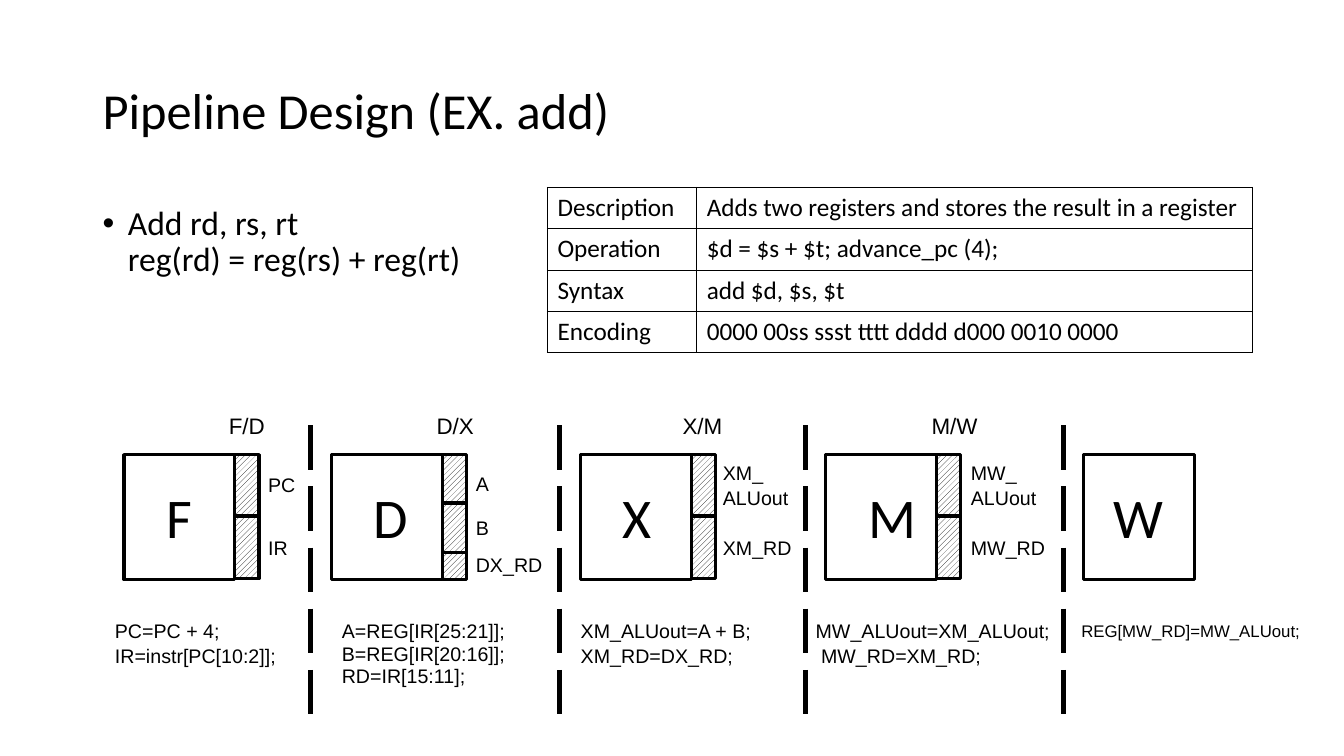
from lxml import etree
from pptx import Presentation
from pptx.dml.color import RGBColor
from pptx.enum import dml, shapes, text
from pptx.oxml.ns import qn
from pptx.util import Inches, Pt

BLACK = RGBColor(0, 0, 0)
WHITE = RGBColor(255, 255, 255)

TITLE = "Pipeline Design (EX. add)"
BULLET = ["Add rd, rs, rt", "reg(rd) = reg(rs) + reg(rt)"]
INSTRUCTION = [
    ("Description", "Adds two registers and stores the result in a register"),
    ("Operation", "$d = $s + $t; advance_pc (4);"),
    ("Syntax", "add $d, $s, $t"),
    ("Encoding", "0000 00ss ssst tttt dddd d000 0010 0000"),
]
COLUMN_WIDTHS = [1.48, 5.51]
ROW_HEIGHT = 0.41

# name, square left, letter (left, width)
STAGES = [
    ("F", 1.23, (1.55, 0.46)),
    ("D", 3.29, (3.61, 0.55)),
    ("X", 5.76, (6.08, 0.49)),
    ("M", 8.19, (8.52, 0.68)),
    ("W", 10.75, (10.95, 0.7)),
]
# tag, tag left, register heights, label left, labels as (top, width, lines)
LATCHES = [
    ("F/D", 2.26, [0.61, 0.62], 2.65,
     [(4.68, 0.34, ["PC"]), (5.31, 0.23, ["IR"])]),
    ("D/X", 4.32, [0.48, 0.49, 0.27], 4.71,
     [(4.67, 0.34, ["A"]), (5.11, 0.23, ["B"]), (5.48, 0.76, ["DX_RD"])]),
    ("X/M", 6.76, [0.61, 0.62], 7.16,
     [(4.56, 0.76, ["XM_", "ALUout"]), (5.31, 0.76, ["XM_RD"])]),
    ("M/W", 9.23, [0.61, 0.62], 9.62,
     [(4.56, 0.76, ["MW_", "ALUout"]), (5.31, 0.76, ["MW_RD"])]),
]
DIVIDERS = [3.08, 5.55, 7.99, 10.55]
# left, width, top inset, paragraphs as (text, space before, line spacing)
ACTIONS = [
    (1.13, 1.76, 0.03, [("PC=PC + 4;", 2.2, None), ("IR=instr[PC[10:2]];", 1.2, None)]),
    (3.38, 1.99, 0.03, [("A=REG[IR[25:21]];", 2.2, None),
                        ("B=REG[IR[20:16]];  RD=IR[15:11];", 0.7, Pt(15.7))]),
    (5.75, 1.83, 0.01, [("XM_ALUout=A + B;  XM_RD=DX_RD;", 1, 1.08)]),
    (8.08, 2.34, 0.01, [("MW_ALUout=XM_ALUout;  MW_RD=XM_RD;", 1, 1.08)]),
]
WRITE_BACK = "REG[MW_RD]=MW_ALUout;"

STAGE_TOP, STAGE_WIDTH, STAGE_HEIGHT = 4.51, 1.1, 1.24
REGISTER_WIDTH = 0.24
DIVIDER_TOP, DIVIDER_BOTTOM = 4.22, 7.08

prs = Presentation()
prs.slide_width, prs.slide_height = Inches(13.33), Inches(7.5)
s = prs.slides.add_slide(prs.slide_layouts[6])


def add_run(p, words, size, font):
    r = p.add_run()
    r.text = words
    r.font.size, r.font.name = Pt(size), font
    r.font.color.rgb = BLACK


def add_text(left, top, width, height, paragraphs, size, font="Calibri",
             inset=None, wrap=True):
    """Paragraphs are (text, space before in points, line spacing); inset is the top
    margin, with the other margins at zero."""
    tf = s.shapes.add_textbox(*map(Inches, (left, top, width, height))).text_frame
    tf.word_wrap = wrap
    if inset is not None:
        tf.margin_left = tf.margin_right = tf.margin_bottom = 0
        tf.margin_top = Inches(inset)
    for i, (words, before, spacing) in enumerate(paragraphs):
        p = tf.paragraphs[0] if i == 0 else tf.add_paragraph()
        p.space_before = Pt(before)
        if spacing:
            p.line_spacing = spacing
        if inset is not None:
            p._p.get_or_add_pPr().set("marL", str(Inches(0.01)))
        add_run(p, words, size, font)
    return tf


def add_box(left, top, width, height):
    sp = s.shapes.add_shape(shapes.MSO_SHAPE.RECTANGLE,
                            *map(Inches, (left, top, width, height)))
    sp.shadow.inherit = False
    sp.fill.background()
    sp.line.color.rgb, sp.line.width = BLACK, Pt(2.25)
    return sp


def set_borders(cell):
    tcPr = cell._tc.get_or_add_tcPr()
    for i, side in enumerate(("lnL", "lnR", "lnT", "lnB")):
        ln = etree.Element(qn("a:" + side), w=str(Pt(1)))
        fill = etree.SubElement(ln, qn("a:solidFill"))
        etree.SubElement(fill, qn("a:srgbClr"), val=str(BLACK))
        tcPr.insert(i, ln)


# Heading and bullet
tf = add_text(0.92, 0.4, 11.5, 1.45, [(TITLE, 0, 0.9)], 36)
tf.vertical_anchor = text.MSO_ANCHOR.MIDDLE

tf = add_text(0.92, 2, 11.5, 4.76, [(BULLET[0], 10, 0.9)], 24)
p = tf.paragraphs[0]
p.add_line_break()
add_run(p, BULLET[1], 24, "Calibri")
pPr = p._p.get_or_add_pPr()
pPr.set("marL", str(Inches(0.25)))
pPr.set("indent", str(-Inches(0.25)))
etree.SubElement(pPr, qn("a:buFont"), typeface="Arial")
etree.SubElement(pPr, qn("a:buChar"), char="•")

# Instruction table
table = s.shapes.add_table(
    len(INSTRUCTION), 2, Inches(5.43), Inches(1.86),
    Inches(sum(COLUMN_WIDTHS)), Inches(ROW_HEIGHT * len(INSTRUCTION))).table
table.first_row = table.horz_banding = False
for column, width in zip(table.columns, COLUMN_WIDTHS):
    column.width = Inches(width)
for row, values in zip(table.rows, INSTRUCTION):
    row.height = Inches(ROW_HEIGHT)
    for cell, value in zip(row.cells, values):
        cell.fill.background()
        set_borders(cell)
        add_run(cell.text_frame.paragraphs[0], value, 18, "Calibri")

# Pipeline stages
for name, left, (letter_left, letter_width) in STAGES:
    add_box(left, STAGE_TOP, STAGE_WIDTH, STAGE_HEIGHT)
    add_text(letter_left, 4.74, letter_width, 0.77, [(name, 0, None)], 40,
             wrap=name == "W")

for x in DIVIDERS:
    line = s.shapes.add_connector(shapes.MSO_CONNECTOR.STRAIGHT, Inches(x),
                                  Inches(DIVIDER_TOP), Inches(x), Inches(DIVIDER_BOTTOM))
    line.line.color.rgb, line.line.width = BLACK, Pt(3.96)
    line.line.dash_style = dml.MSO_LINE.LONG_DASH
    etree.SubElement(line._element.spPr, qn("a:effectLst"))

# Registers between the stages
for (_, left, _), (tag, tag_left, heights, label_left, labels) in zip(STAGES, LATCHES):
    top = STAGE_TOP
    for height in heights:
        register = add_box(left + STAGE_WIDTH, top, REGISTER_WIDTH, height)
        register.fill.patterned()
        register.fill.pattern = dml.MSO_PATTERN.WIDE_UPWARD_DIAGONAL
        register.fill.fore_color.rgb = BLACK
        register.fill.back_color.rgb = WHITE
        top += height
    for label_top, width, lines in labels:
        add_text(label_left, label_top, width, 0.25 * len(lines),
                 [(words, 1, None) for words in lines], 14, "Arial", 0.01)
    add_text(tag_left, 4.08, 0.58, 0.28, [(tag, 0.9, None)], 16, "Arial", 0.01)

# Work done in each stage
for left, width, inset, paragraphs in ACTIONS:
    add_text(left, 6.11, width, 0.5, paragraphs, 14, "Arial", inset)
tf = add_text(10.6, 6.13, 2.41, 0.23, [(WRITE_BACK, 2.2, None)], 12, "Arial", 0.03)
tf.paragraphs[0].alignment = text.PP_ALIGN.CENTER

prs.save("out.pptx")
